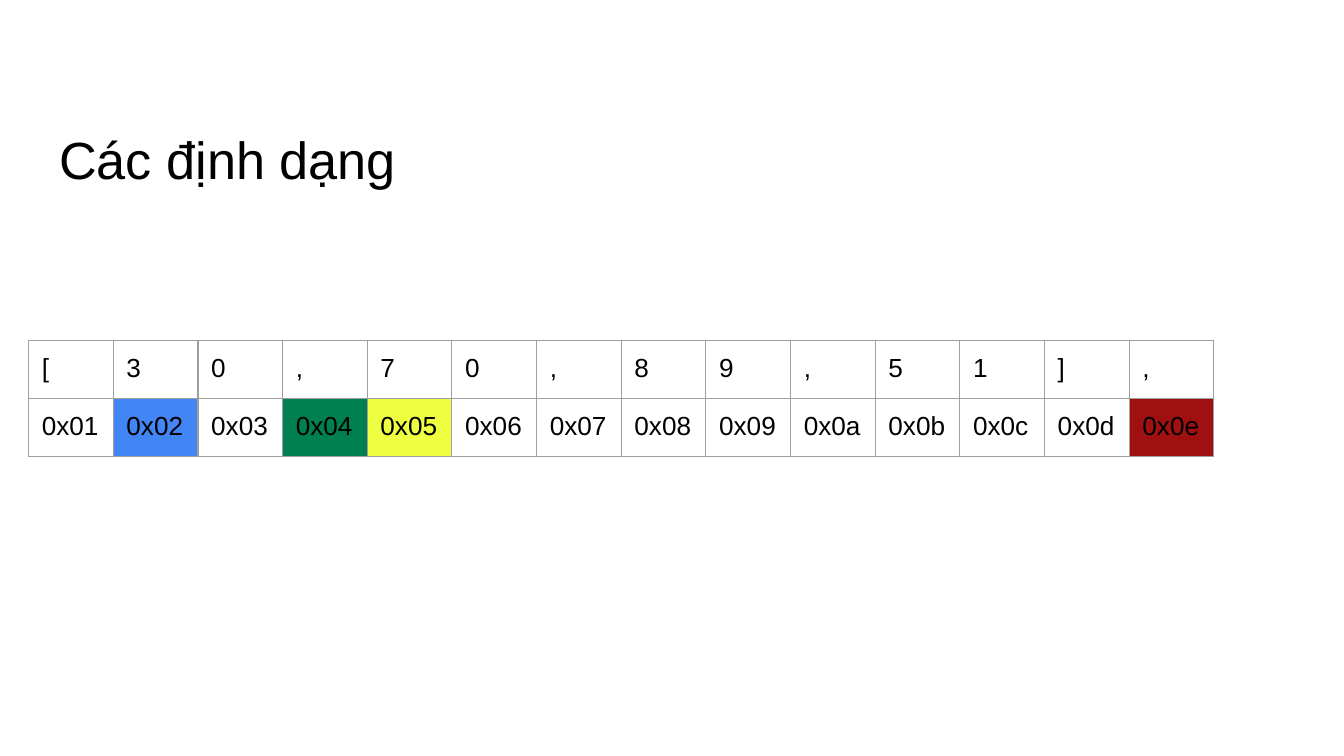
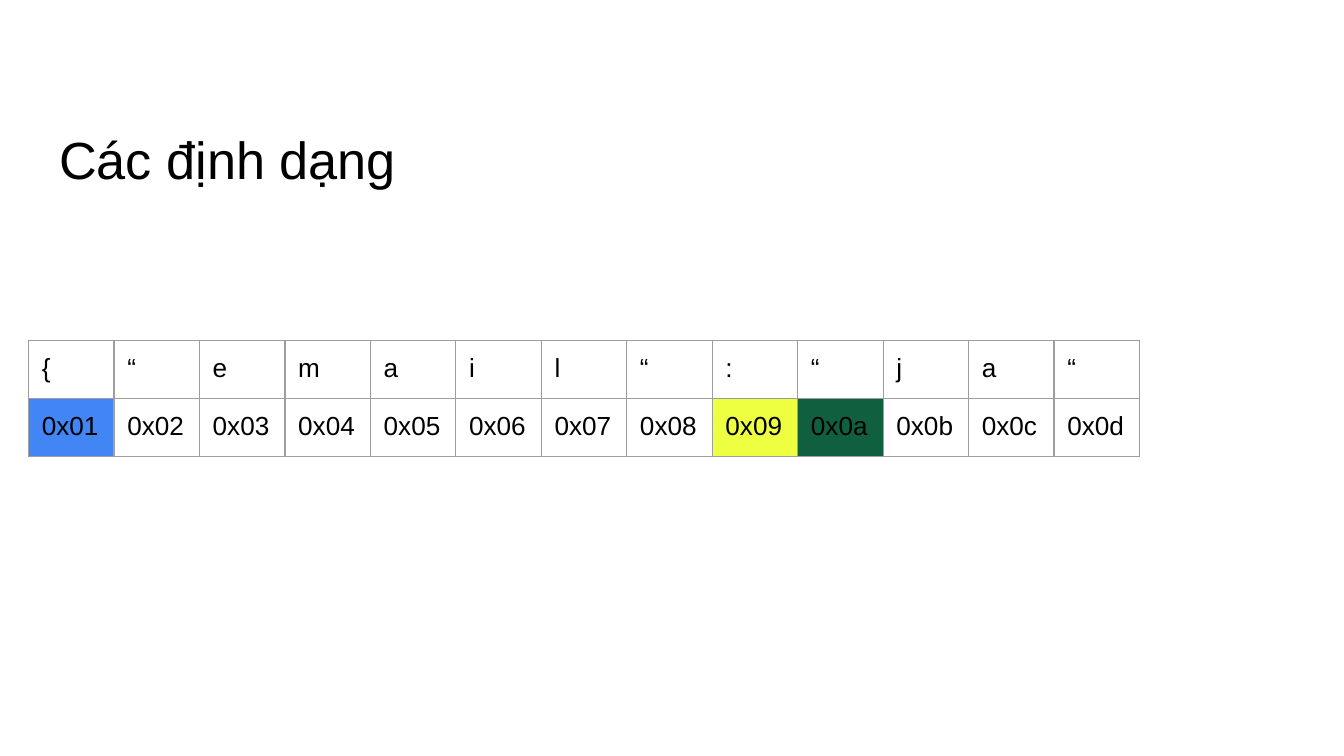
from dataclasses import dataclass

from lxml.etree import SubElement as Sub
from pptx import Presentation
from pptx.dml.color import RGBColor as Rgb
from pptx.enum.text import MSO_ANCHOR as Anchor
from pptx.oxml.ns import qn
from pptx.util import Cm, Pt


@dataclass(frozen=True)
class Theme:
    """Hold the colours, font and sizes of the deck."""
    font: str = "Arial"
    ink: str = "000000"
    paper: str = "FFFFFF"
    grid: str = "9E9E9E"
    blue: str = "4285F4"
    green: str = "008050"
    pine: str = "106040"
    lime: str = "EEFF41"
    red: str = "A01010"
    head: float = 28
    body: float = 14
    line: float = 0.75
    pad: float = 0.25


THEME = Theme()
TITLE = "Các định dạng"


def write(frame, text, size=THEME.body, color=THEME.ink):
    """Put one formatted run of text into a frame."""
    run = frame.paragraphs[0].add_run()
    run.text = text
    run.font.name = THEME.font
    run.font.size = Pt(size)
    run.font.color.rgb = Rgb.from_string(color)


def inset(item):
    """Give a frame or cell the shared margin on all sides."""
    for side in ("left", "top", "right", "bottom"):
        setattr(item, f"margin_{side}", Cm(THEME.pad))


def border(cell):
    """Draw the grid line on all four sides of a cell."""
    props = cell._tc.get_or_add_tcPr()
    for side in "LRTB":
        line = Sub(props, qn(f"a:ln{side}"), w=str(Pt(THEME.line)))
        fill = Sub(line, qn("a:solidFill"))
        Sub(fill, qn("a:srgbClr"), val=THEME.grid)


def add_title(slide, text):
    """Add the slide title."""
    box = slide.shapes.add_textbox(Cm(0.87), Cm(2.07), Cm(23.67), Cm(1.78))
    frame = box.text_frame
    frame.word_wrap = True
    frame.vertical_anchor = Anchor.BOTTOM
    inset(frame)
    write(frame, text, size=THEME.head)


def add_bytes(slide, chars, width, marks):
    """Add a table of characters over their hex addresses."""
    count, high = len(chars), 1.1
    table = slide.shapes.add_table(
        2, count, Cm(0.54), Cm(6.43), Cm(width), Cm(2 * high)).table
    table.first_row = table.horz_banding = False
    for row in table.rows:
        row.height = Cm(high)
    for col, char in enumerate(chars):
        table.columns[col].width = Cm(width / count)
        code = col + 1
        pairs = ((char, THEME.paper),
                 (f"0x{code:02x}", marks.get(code, THEME.paper)))
        for row, (text, fill) in enumerate(pairs):
            cell = table.cell(row, col)
            inset(cell)
            border(cell)
            cell.fill.solid()
            cell.fill.fore_color.rgb = Rgb.from_string(fill)
            write(cell.text_frame, text)


def add_page(deck, chars, width, marks):
    """Add a slide with the shared title and one byte table."""
    slide = deck.slides.add_slide(deck.slide_layouts[6])
    back = slide.background.fill
    back.solid()
    back.fore_color.rgb = Rgb.from_string(THEME.paper)
    add_title(slide, TITLE)
    add_bytes(slide, chars, width, marks)


def main():
    """Build and save the deck."""
    deck = Presentation()
    deck.slide_width, deck.slide_height = Cm(25.4), Cm(14.29)
    add_page(deck, "[30,70,89,51],", 22.4,
             {2: THEME.blue, 4: THEME.green, 5: THEME.lime, 14: THEME.red})
    add_page(deck, "{“email“:“ja“", 21,
             {1: THEME.blue, 9: THEME.lime, 10: THEME.pine})
    deck.save("out.pptx")


if __name__ == "__main__":
    main()
